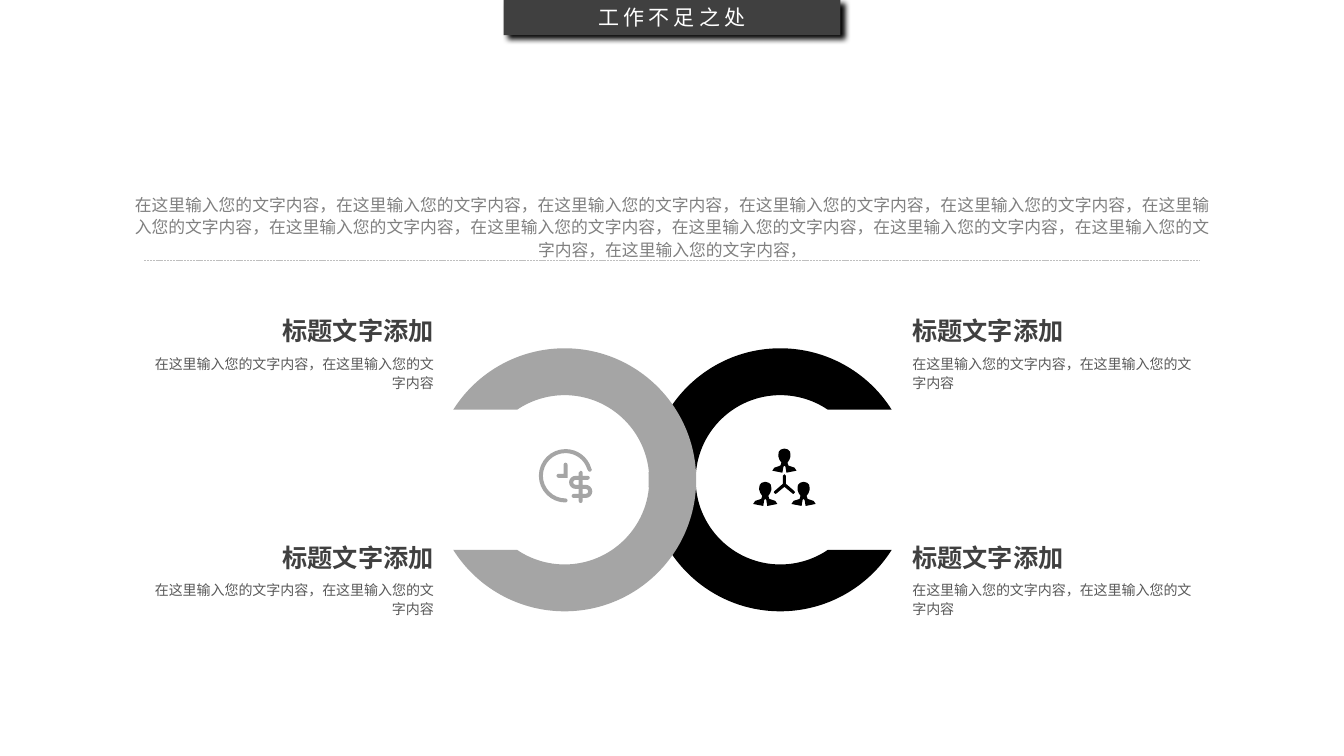
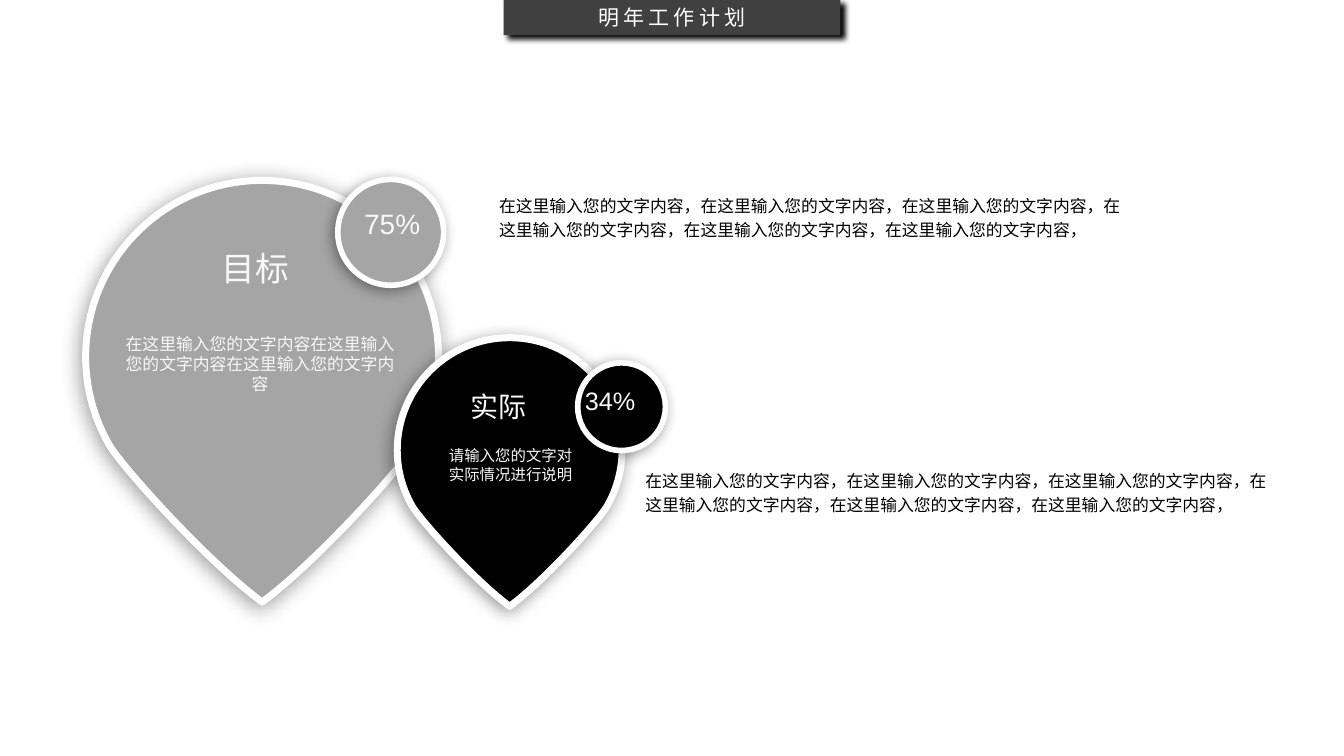
from math import acos, asin, cos, degrees, radians, sin, tan

from lxml.etree import SubElement
from pptx import Presentation
from pptx.dml.color import RGBColor
from pptx.enum.dml import MSO_LINE
from pptx.enum.shapes import MSO_CONNECTOR, MSO_SHAPE
from pptx.enum.text import MSO_ANCHOR, PP_ALIGN
from pptx.oxml.ns import qn
from pptx.util import Inches, Pt

DARK, GREY, BLACK, WHITE, PALE = "404040", "A5A5A5", "000000", "FFFFFF", "F8F8F8"
HEAD_FONT, TEXT_FONT, FIGURE_FONT = "Noto Sans CJK SC", "TeX Gyre Adventor", "Arial"
LEFT, CENTER, RIGHT = PP_ALIGN.LEFT, PP_ALIGN.CENTER, PP_ALIGN.RIGHT
SLIDE_W, SLIDE_H = 13.33, 7.5
UNITS = 10000  # outline units per inch
PHRASE = "在这里输入您的文字内容"


def rgb(color):
    return RGBColor.from_string(color)


def box(x, y, w, h):
    return [Inches(v) for v in (x, y, w, h)]


def paint(sp, fill, line=None, width=0):
    sp.shadow.inherit = False
    sp.fill.solid()
    sp.fill.fore_color.rgb = rgb(fill)
    if line:
        sp.line.color.rgb = rgb(line)
        sp.line.width = Pt(width)
    else:
        sp.line.fill.background()


def add_shadow(sp, alpha, blur, dist, angle):
    """Give a painted shape an outer shadow; blur and distance are in points."""
    effects = sp._element.spPr.find(qn("a:effectLst"))
    shadow = SubElement(effects, qn("a:outerShdw"), blurRad=str(Pt(blur)),
                        dist=str(Pt(dist)), dir=str(angle * 60000),
                        algn="ctr", rotWithShape="0")
    color = SubElement(shadow, qn("a:srgbClr"), val=BLACK)
    SubElement(color, qn("a:alpha"), val=str(alpha * 1000))


def format_run(r, size, color, font, bold=False, spacing=0, asian=TEXT_FONT):
    r.font.size, r.font.bold, r.font.name = Pt(size), bold, font
    r.font.color.rgb = rgb(color)
    rPr = r._r.get_or_add_rPr()
    SubElement(rPr, qn("a:ea"), typeface=asian)
    if spacing:
        rPr.set("spc", str(spacing * 100))


def add_text(s, x, y, w, h, text, size, color, font=TEXT_FONT, align=LEFT,
             bold=False, spacing=None, inset=(0.1, 0.05), wrap=True):
    tf = s.shapes.add_textbox(*box(x, y, w, h)).text_frame
    tf.word_wrap = wrap
    tf.margin_left = tf.margin_right = Inches(inset[0])
    tf.margin_top = tf.margin_bottom = Inches(inset[1])
    tf.text = text
    for p in tf.paragraphs:
        p.alignment = align
        if spacing:
            p.line_spacing = spacing
        for r in p.runs:
            format_run(r, size, color, font, bold)


# An outline is a list of steps: one point for a line, three for a curve.
def lines(*points):
    return [(point,) for point in points]


def arc(cx, cy, radius, start, end):
    """Curves along an arc, in degrees clockwise from three o'clock."""
    cuts = [a for a in range(-360, 721, 90) if min(start, end) < a < max(start, end)]
    stops = [start, *sorted(cuts, reverse=end < start), end]

    def at(angle, pull=0):
        a = radians(angle)
        return (cx + radius * (cos(a) - pull * sin(a)),
                cy + radius * (sin(a) + pull * cos(a)))

    steps = lines(at(start))
    for a, b in zip(stops, stops[1:]):
        pull = 4 / 3 * tan(radians(b - a) / 4)
        steps.append((at(a, pull), at(b, -pull), at(b)))
    return steps


def place(outline, x, y, sx=1, sy=1):
    return [tuple((x + sx * px, y + sy * py) for px, py in step) for step in outline]


def draw_outlines(s, outlines, color, line=None, width=0):
    """Draw closed outlines as one freeform; an inner outline is a hole."""
    builder = None
    for outline in outlines:
        points = [(px * UNITS, py * UNITS) for step in outline for px, py in step]
        if builder is None:
            builder = s.shapes.build_freeform(*points[0], scale=Inches(1) / UNITS)
        else:
            builder.move_to(*points[0])
        builder.add_line_segments(points[1:], close=True)
    sp = builder.convert_to_shape()
    path_lines = sp._element.iter(qn("a:lnTo"))
    segments = iter(list(path_lines))
    for step in (step for outline in outlines for step in outline[1:]):
        parts = [next(segments) for _ in step]
        if len(parts) == 3:
            parts[0].tag = qn("a:cubicBezTo")
            for part in parts[1:]:
                parts[0].append(part[0])
                part.getparent().remove(part)
    paint(sp, color, line, width)
    return sp


def add_title_slide(prs, title):
    s = prs.slides.add_slide(prs.slide_layouts[5])
    sp = s.shapes.title
    sp.left, sp.top, sp.width, sp.height = box((SLIDE_W - 3.34) / 2, 0, 3.34, 0.35)
    paint(sp, DARK)
    add_shadow(sp, 99, 4, 4, 40)
    tf = sp.text_frame
    tf.text = title
    tf.margin_top, tf.margin_bottom = 0, Inches(0.02)
    tf.vertical_anchor = MSO_ANCHOR.MIDDLE
    tf.paragraphs[0].alignment = CENTER
    format_run(tf.paragraphs[0].runs[0], 15, WHITE, HEAD_FONT, spacing=3,
               asian=HEAD_FONT)
    return s


def add_open_ring(s, cx, cy, side, color):
    """Ring with a level slot; side is -1 for a slot on the left, 1 on the right."""
    outer, inner, slot = 1.305, 0.84, 0.695
    a, b = (degrees(asin(slot / radius)) for radius in (outer, inner))
    ring = arc(0, 0, outer, a, 360 - a) + arc(0, 0, inner, 360 - b, b)
    draw_outlines(s, [place(ring, cx, cy, side)], color)


def add_cost_icon(s, x, y, color):
    """Clock with a dollar sign, placed by the centre of the clock."""
    t = 0.02  # half the stroke
    dial = (arc(0, 0, 0.265, -16, -270) + arc(0, 0.245, t, 90, -90)
            + arc(0, 0, 0.225, -270, -16) + arc(0.24, -0.06, t, 180, 0))
    hands = (arc(0, -0.11, t, 180, 360) + lines((t, t))
             + arc(-0.07, 0, t, 90, 270) + lines((-t, -t)))
    half = (arc(0, -0.14, t, 180, 360) + lines((t, -0.11))
            + arc(0.07, -0.09, t, -90, 90) + lines((t, -0.07), (t, -t))
            + arc(0.05, 0.045, 0.065, -90, 90) + lines((t, 0.11)))
    hole = lines((t, t), (t, 0.07)) + arc(0.05, 0.045, 0.025, 90, -90)
    sign = (x + 0.15, y + 0.11)
    draw_outlines(s, [
        place(dial, x, y),
        place(hands, x, y),
        place(half, *sign) + place(half, *sign, -1, -1),
        place(hole, *sign),
        place(hole, *sign, -1, -1),
    ], color)


def add_team_icon(s, x, y, color):
    """Three linked people, placed by the top of the upper head."""
    half = [(0, 0), (0.035, 0.01), (0.055, 0.03), (0.06, 0.06), (0.06, 0.08),
            (0.05, 0.11), (0.03, 0.14), (0.04, 0.17), (0.1, 0.19),
            (0.12, 0.22), (0.07, 0.23), (0.02, 0.24), (0.01, 0.18), (0, 0.17)]
    person = lines(*half, *((-px, py) for px, py in half[-2:0:-1]))
    link = (arc(0, 0.27, 0.015, 180, 360) + lines((0.015, 0.35))
            + arc(0.09, 0.435, 0.015, -50, 130) + lines((0, 0.38))
            + arc(-0.09, 0.435, 0.015, 50, 230) + lines((-0.015, 0.35)))
    heads = [(x, y), (x - 0.19, y + 0.33), (x + 0.19, y + 0.33)]
    draw_outlines(s, [place(person, *head) for head in heads] + [place(link, x, y)],
                  color)


def add_point(s, x, y, align):
    """Heading and note in a box 3.05 wide, set towards the rings."""
    head_x = x + (3.05 - 2.33 if align == RIGHT else 0)
    add_text(s, head_x, y, 2.33, 0.4, "标题文字添加", 18, DARK, align=align, bold=True)
    add_text(s, x, y + 0.37, 3.05, 0.47, f"{PHRASE}，{PHRASE}", 10, "595959",
             align=align, spacing=1.14)


def add_intro(s, x, y):
    rule = s.shapes.add_connector(MSO_CONNECTOR.STRAIGHT, Inches(x + 0.22),
                                  Inches(y + 0.73), Inches(x + 10.69), Inches(y + 0.73))
    rule.line.color.rgb = rgb("BFBFBF")
    rule.line.width = Pt(0.5)
    rule.line.dash_style = MSO_LINE.SQUARE_DOT
    SubElement(rule._element.spPr, qn("a:effectLst"))
    add_text(s, x, y, 10.92, 0.97, f"{PHRASE}，" * 12, 12, "808080",
             align=CENTER, spacing=1.14)


def build_shortcomings(prs):
    s = add_title_slide(prs, "工作不足之处")
    add_open_ring(s, 7.74, 4.76, 1, BLACK)
    add_open_ring(s, 5.6, 4.76, -1, GREY)
    add_cost_icon(s, 5.61, 4.72, GREY)
    add_team_icon(s, 7.78, 4.45, BLACK)
    for x, align in ((8.95, LEFT), (1.35, RIGHT)):
        for y in (3.08, 5.33):
            add_point(s, x, y, align)
    add_intro(s, 1.21, 1.85)


def add_pin(s, x, y, width, color, blur):
    """Drop-shaped marker: a circle drawn out to a tip below."""
    radius = width / 2
    bend = degrees(acos(0.86))
    drop = arc(0, 0, 1, 180 - bend, 360 + bend) + [
        ((0.77, 0.65), (0.3, 1.17), (0, 1.39)),
        ((-0.3, 1.17), (-0.77, 0.65), (-0.86, 0.51))]
    sp = draw_outlines(s, [place(drop, x + radius, y + radius, radius, radius)],
                       color, WHITE, 5)
    add_shadow(sp, 40, blur, 3, 135)


def add_badge(s, x, y, size, color):
    sp = s.shapes.add_shape(MSO_SHAPE.OVAL, *box(x, y, size, size))
    paint(sp, color, WHITE, 4)
    add_shadow(sp, 40, 10, 3, 135)


def add_label(s, x, y, w, h, text, size, align=LEFT, wrap=False, color=PALE,
              spacing=None):
    add_text(s, x, y, w, h, text, size, color, FIGURE_FONT, align,
             spacing=spacing, inset=(0.07, 0.04), wrap=wrap)


def build_plan(prs):
    s = add_title_slide(prs, "明年工作计划")
    add_pin(s, 0.85, 1.79, 3.5, GREY, 15)
    add_pin(s, 3.94, 3.35, 2.23, BLACK, 12)
    add_badge(s, 3.35, 1.78, 1.05, GREY)
    add_badge(s, 5.73, 3.6, 0.87, BLACK)
    add_label(s, 3.39, 2.01, 1, 0.56, "75%", 20, CENTER)
    add_label(s, 5.73, 3.78, 0.91, 0.52, "34%", 18)
    add_label(s, 2.13, 2.42, 1.12, 0.65, "目标", 24)
    add_label(s, 1.12, 3.27, 2.92, 0.88, PHRASE * 3, 12, CENTER, True)
    add_label(s, 4.6, 3.82, 0.97, 0.56, "实际", 20)
    add_label(s, 4.02, 4.39, 2.09, 0.61, "请输入您的文字对\n实际情况进行说明",
              11, CENTER, True)
    for x, y in ((4.88, 1.86), (6.33, 4.59)):
        add_label(s, x, y, 6.41, 0.54, f"{PHRASE}，" * 6, 12, wrap=True,
                  color=BLACK, spacing=1.2)


def main():
    prs = Presentation()
    prs.slide_width, prs.slide_height = Inches(SLIDE_W), Inches(SLIDE_H)
    build_shortcomings(prs)
    build_plan(prs)
    prs.save("out.pptx")


if __name__ == "__main__":
    main()
